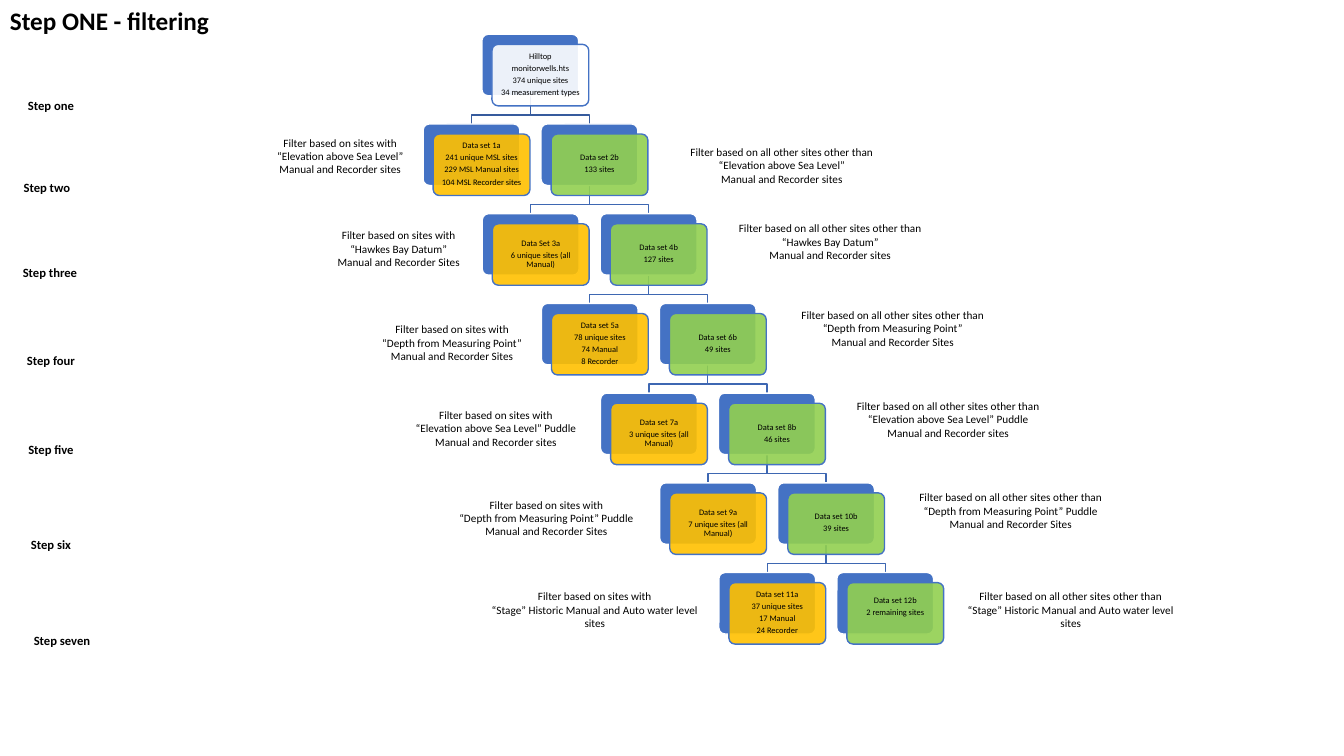
from dataclasses import dataclass
from lxml.etree import SubElement
from pptx import Presentation
from pptx.dml.color import RGBColor
from pptx.enum.shapes import MSO_SHAPE
from pptx.enum.text import MSO_ANCHOR, MSO_AUTO_SIZE, PP_ALIGN
from pptx.oxml.ns import qn
from pptx.util import Inches, Pt


@dataclass(frozen=True)
class Theme:
    font: str = "Calibri"
    ink: str = "000000"
    blue: str = "4472C4"
    white: str = "FFFFFF"
    amber: str = "FFC000"
    green: str = "92D050"
    trunk: str = "365B9D"
    branch: str = "3E67B2"
    title: float = 18
    step: float = 9
    note: float = 8
    card: float = 6


# Cards: the kept branch moves right by SIDE and down by DROP on each level
WIDE, HIGH = 0.96, 0.61
LEFT, TOP = 4.78, 0.34
SIDE, DROP = 3.52 / 6, 0.89
PAIR = 1.17
SHIFT = 0.1

ROOT = ["Hilltop", "monitorwells.hts", "374 unique sites",
        "34 measurement types"]
# Each level: lines of the amber card, lines of the green card
LEVELS = [
    (["Data set 1a", "241 unique MSL sites", "229 MSL Manual sites",
      "104 MSL Recorder sites"], ["Data set 2b", "133 sites"]),
    (["Data Set 3a", "6 unique sites (all Manual)"],
     ["Data set 4b", "127 sites"]),
    (["Data set 5a", "78 unique sites", "74 Manual", "8 Recorder"],
     ["Data set 6b", "49 sites"]),
    (["Data set 7a", "3 unique sites (all Manual)"],
     ["Data set 8b", "46 sites"]),
    (["Data set 9a", "7 unique sites (all Manual)"],
     ["Data set 10b", "39 sites"]),
    (["Data set 11a", "37 unique sites", "17 Manual", "24 Recorder"],
     ["Data set 12b", "2 remaining sites"]),
]

WITH = "Filter based on sites with"
OTHER = "Filter based on all other sites other than"
LOWER = ["Manual and Recorder sites"]
UPPER = ["Manual and Recorder Sites"]
# Each level: rule, then (left, top, width, closing line) of both notes
NOTES = [
    ("“Elevation above Sea Level”",
     (2.07, 1.3, 2.61, LOWER), (6.45, 1.39, 2.61, LOWER)),
    ("“Hawkes Bay Datum”",
     (2.65, 2.22, 2.61, UPPER), (6.93, 2.15, 2.61, LOWER)),
    ("“Depth from Measuring Point”",
     (3.18, 3.15, 2.61, UPPER), (7.55, 3.01, 2.61, UPPER)),
    ("“Elevation above Sea Level” Puddle",
     (3.47, 4, 2.9, LOWER), (8.1, 3.91, 2.61, LOWER)),
    ("“Depth from Measuring Point” Puddle",
     (3.96, 4.89, 2.92, UPPER), (8.72, 4.82, 2.61, UPPER)),
    ("“Stage” Historic Manual and Auto water level sites",
     (4.68, 5.8, 2.44, []), (9.46, 5.8, 2.32, [])),
]

STEPS = [("one", 0, 0.92), ("two", -0.04, 1.74), ("three", -0.01, 2.58),
         ("four", 0, 3.45), ("five", 0, 4.33), ("six", 0, 5.28),
         ("seven", 0.11, 6.23)]


class Board:
    def __init__(self, slide, theme):
        self.shapes = slide.shapes
        self.theme = theme

    def words(self, frame, lines, size, bold=False, align=PP_ALIGN.CENTER):
        """Fill a text frame, one paragraph a line."""
        frame.word_wrap = True
        frame.text = "\n".join(lines)
        for para in frame.paragraphs:
            para.alignment = align
            para.font.name = self.theme.font
            para.font.size = Pt(size)
            para.font.bold = bold
            para.font.color.rgb = RGBColor.from_string(self.theme.ink)

    def label(self, x, y, w, h, lines, size, **style):
        box = self.shapes.add_textbox(
            Inches(x), Inches(y), Inches(w), Inches(h))
        self.words(box.text_frame, lines, size, **style)
        box.text_frame.auto_size = MSO_AUTO_SIZE.SHAPE_TO_FIT_TEXT

    def panel(self, x, y, fill, line):
        box = self.shapes.add_shape(
            MSO_SHAPE.ROUNDED_RECTANGLE,
            Inches(x), Inches(y), Inches(WIDE), Inches(HIGH))
        box.adjustments[0] = 0.1
        box.shadow.inherit = False
        box.fill.solid()
        box.fill.fore_color.rgb = RGBColor.from_string(fill)
        box.line.color.rgb = RGBColor.from_string(line)
        box.line.width = Pt(1)
        return box

    def card(self, x, y, lines, fill, lift=0):
        """Draw a blue back panel and a see-through front one with text.

        lift is extra room kept free below the text.
        """
        self.panel(x, y, self.theme.blue, self.theme.white)
        front = self.panel(x + SHIFT, y + SHIFT, fill, self.theme.blue)
        tint = front.element.spPr.find(qn("a:solidFill"))[0]
        SubElement(tint, qn("a:alpha"), val="90000")
        frame = front.text_frame
        self.words(frame, lines, self.theme.card)
        frame.vertical_anchor = MSO_ANCHOR.MIDDLE
        frame.margin_left = frame.margin_right = Inches(0.03)
        frame.margin_top = Inches(0.03)
        frame.margin_bottom = Inches(0.04 + lift)
        for para in frame.paragraphs:
            para.line_spacing = 0.9
            para.space_after = Pt(2.1)

    def elbow(self, x, y, end, color):
        """Draw a bent line from (x, y) across to end and down."""
        turns = [(x, y + 0.19), (end, y + 0.19), (end, y + 0.28)]
        pen = self.shapes.build_freeform(Inches(x), Inches(y))
        pen.add_line_segments(
            [(Inches(a), Inches(b)) for a, b in turns], close=False)
        bend = pen.convert_to_shape()
        bend.shadow.inherit = False
        bend.fill.background()
        bend.line.color.rgb = RGBColor.from_string(color)
        bend.line.width = Pt(1)


def spot(level):
    """Return the corner of the kept card on a level, the root being 0."""
    return LEFT + SIDE * level, TOP + DROP * level


def main():
    deck = Presentation()
    deck.slide_width, deck.slide_height = Inches(13.33), Inches(7.5)
    theme = Theme()
    board = Board(deck.slides.add_slide(deck.slide_layouts[6]), theme)

    for level in reversed(range(len(LEVELS))):
        x, y = spot(level)
        mid = x + WIDE / 2
        color = theme.branch if level else theme.trunk
        for end in (mid + SIDE, mid + SIDE - PAIR):
            board.elbow(mid, y + HIGH, end, color)

    board.card(*spot(0), ROOT, theme.white)
    for level, (found, rest) in enumerate(LEVELS, 1):
        x, y = spot(level)
        board.card(x - PAIR, y, found, theme.amber)
        board.card(x, y, rest, theme.green,
                   lift=0.12 if level == len(LEVELS) else 0)

    board.label(0, 0, 7.45, 0.4, ["Step ONE - filtering"], theme.title,
                bold=True, align=PP_ALIGN.LEFT)
    for rule, *sides in NOTES:
        for head, (x, y, w, tail) in zip((WITH, OTHER), sides):
            board.label(x, y, w, 0.5, [head, rule, *tail], theme.note)
    for name, x, y in STEPS:
        board.label(x, y, 1.01, 0.25, [f"Step {name}"], theme.step, bold=True)

    deck.save("out.pptx")


if __name__ == "__main__":
    main()
